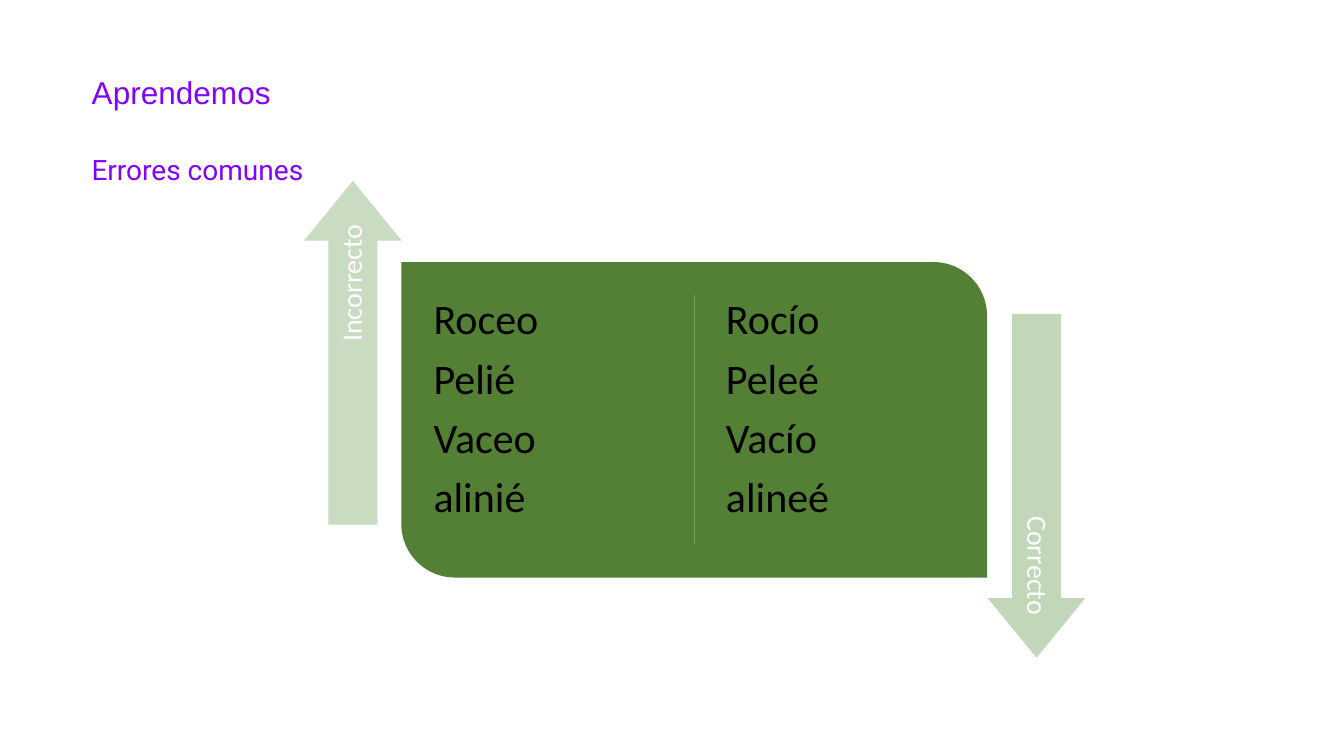
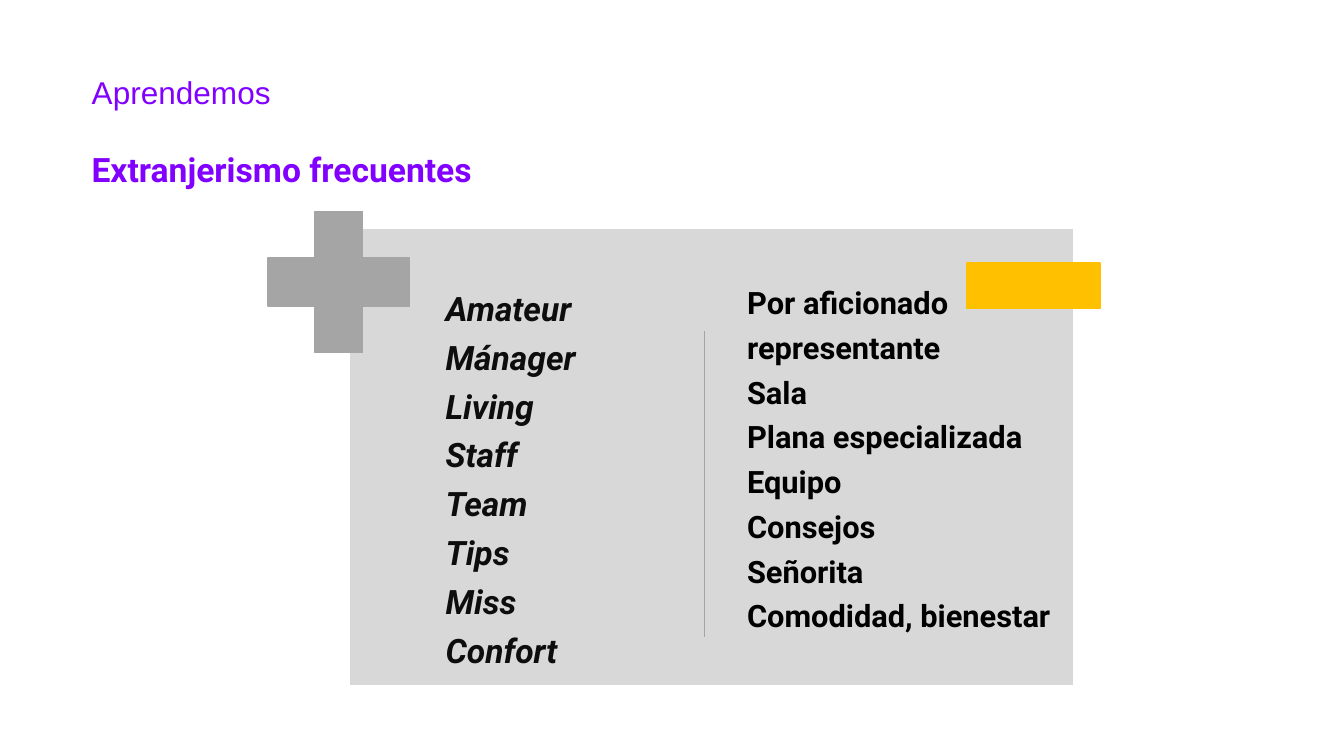
from dataclasses import dataclass

from pptx import Presentation
from pptx.dml.color import RGBColor
from pptx.enum.shapes import MSO_CONNECTOR, MSO_SHAPE
from pptx.enum.text import MSO_ANCHOR, MSO_AUTO_SIZE, PP_ALIGN
from pptx.oxml.ns import qn
from pptx.util import Inches, Pt
from lxml import etree

PURPLE, WHITE, BLACK = "8200FF", "FFFFFF", "000000"
GREEN, LIGHT_GREEN = "538035", "70AD47"
GRAY, PANEL_GRAY, AMBER = "A5A5A5", "D8D8D8", "FFC000"
LINE_SPACING = 0.9
ARROW_LENGTH, ARROW_WIDTH = 3.41, 0.97
LABEL_LENGTH, LABEL_HEIGHT = 3.12, 0.48


@dataclass(frozen=True)
class Style:
    font: str
    size: float
    color: str
    bold: bool = False
    italic: bool = False
    gap: float = 0  # points after each paragraph


@dataclass(frozen=True)
class Box:
    left: float
    top: float
    width: float
    height: float

    def lengths(self) -> list:
        return [Inches(v) for v in (self.left, self.top, self.width, self.height)]


@dataclass(frozen=True)
class WordList:
    box: Box
    inset: float
    style: Style
    words: tuple


@dataclass(frozen=True)
class Arrow:
    """An arrow given by its centre; its label sits towards the tail."""
    x: float
    y: float
    rotation: int
    label_y: float
    fill: str
    label: str


TITLE = Style("Arial", 22.5, PURPLE)
ARROW_LABEL = Style("Calibri", 20, WHITE)
COMMON_ERRORS = Style("Calibri", 30, BLACK, gap=10)

ERROR_LISTS = (
    WordList(Box(4.18, 2.84, 2.52, 2.65), 0.12, COMMON_ERRORS,
             ("Roceo", "Pelié", "Vaceo", "alinié")),
    WordList(Box(7.08, 2.84, 2.52, 2.65), 0.12, COMMON_ERRORS,
             ("Rocío", "Peleé", "Vacío", "alineé")),
)
ARROWS = (
    Arrow(3.5, 3.5, 270, 3.65, "C9DBC1", "Incorrecto"),
    Arrow(10.28, 4.82, 90, 4.68, "C2D7B9", "Correcto"),
)
LOANWORD_LISTS = (
    WordList(Box(4.37, 2.85, 2.7, 3.9), 0.05,
             Style("Roboto", 24, "0D0D0D", bold=True, italic=True, gap=9),
             ("Amateur", "Mánager", "Living", "Staff",
              "Team", "Tips", "Miss", "Confort")),
    WordList(Box(7.36, 2.81, 3.72, 4.01), 0.05,
             Style("Roboto", 22, BLACK, bold=True, gap=8.2),
             ("Por aficionado", "representante", "Sala", "Plana especializada",
              "Equipo", "Consejos", "Señorita", "Comodidad, bienestar")),
)


def rgb(color: str) -> RGBColor:
    return RGBColor.from_string(color)


def write(tf, lines, style: Style, align=PP_ALIGN.LEFT,
          anchor=MSO_ANCHOR.TOP) -> None:
    tf.word_wrap = True
    tf.auto_size = MSO_AUTO_SIZE.NONE
    tf.vertical_anchor = anchor
    for i, line in enumerate(lines):
        p = tf.add_paragraph() if i else tf.paragraphs[0]
        p.alignment = align
        p.line_spacing = LINE_SPACING
        p.space_before = Pt(0)
        p.space_after = Pt(style.gap)
        r = p.add_run()
        r.text = line
        r.font.name = style.font
        r.font.size = Pt(style.size)
        r.font.bold = style.bold
        r.font.italic = style.italic
        r.font.color.rgb = rgb(style.color)


def add_shape(s, kind, box: Box, fill: str, line: str = "", adjustments=()):
    sp = s.shapes.add_shape(kind, *box.lengths())
    sp.shadow.inherit = False
    sp.fill.solid()
    sp.fill.fore_color.rgb = rgb(fill)
    if line:
        sp.line.color.rgb = rgb(line)
        sp.line.width = Pt(1)
    else:
        sp.line.fill.background()
    for i, value in enumerate(adjustments):
        sp.adjustments[i] = value
    return sp


def add_divider(s, x: float, top: float, bottom: float, color: str) -> None:
    line = s.shapes.add_connector(MSO_CONNECTOR.STRAIGHT, Inches(x), Inches(top),
                                  Inches(x), Inches(bottom))
    line.line.color.rgb = rgb(color)
    line.line.width = Pt(1)
    etree.SubElement(line._element.spPr, qn("a:effectLst"))


def add_word_list(s, words: WordList) -> None:
    tf = s.shapes.add_textbox(*words.box.lengths()).text_frame
    tf.margin_left = tf.margin_right = Inches(words.inset)
    tf.margin_top = tf.margin_bottom = Inches(words.inset)
    write(tf, words.words, words.style)


def centred(x: float, y: float, width: float, height: float) -> Box:
    return Box(x - width / 2, y - height / 2, width, height)


def add_arrow(s, arrow: Arrow) -> None:
    sp = add_shape(s, MSO_SHAPE.RIGHT_ARROW,
                   centred(arrow.x, arrow.y, ARROW_LENGTH, ARROW_WIDTH),
                   arrow.fill, adjustments=(0.5, 0.61))
    sp.rotation = arrow.rotation
    label = s.shapes.add_textbox(
        *centred(arrow.x, arrow.label_y, LABEL_LENGTH, LABEL_HEIGHT).lengths())
    label.rotation = arrow.rotation
    tf = label.text_frame
    tf.margin_left = tf.margin_top = tf.margin_bottom = Inches(0.08)
    tf.margin_right = Inches(0.14)
    write(tf, [arrow.label], ARROW_LABEL, PP_ALIGN.RIGHT, MSO_ANCHOR.MIDDLE)


def add_slide(prs, subtitle: str, style: Style):
    """Add a slide with the shared title and its own subtitle."""
    s = prs.slides.add_slide(prs.slide_layouts.get_by_name("Title Only"))
    title = s.shapes.title
    title.left, title.top, title.width, title.height = Box(
        0.81, 0.73, 11.73, 0.42).lengths()
    write(title.text_frame, ["Aprendemos"], TITLE, anchor=MSO_ANCHOR.MIDDLE)
    sp = s.shapes.add_textbox(*Box(0.81, 1.41, 5.49, 0.59).lengths())
    write(sp.text_frame, [subtitle], style, anchor=MSO_ANCHOR.MIDDLE)
    return s


def build_errors(prs) -> None:
    s = add_slide(prs, "Errores comunes", Style("Roboto", 20, PURPLE))
    add_shape(s, MSO_SHAPE.ROUND_2_DIAG_RECTANGLE, Box(3.98, 2.6, 5.81, 3.13),
              GREEN, adjustments=(0, 0.17))
    add_divider(s, 6.89, 2.93, 5.4, LIGHT_GREEN)
    for words in ERROR_LISTS:
        add_word_list(s, words)
    for arrow in ARROWS:
        add_arrow(s, arrow)


def build_loanwords(prs) -> None:
    s = add_slide(prs, "Extranjerismo frecuentes",
                  Style("Roboto", 24, PURPLE, bold=True))
    add_shape(s, MSO_SHAPE.RECTANGLE, Box(3.46, 2.27, 7.19, 4.53),
              PANEL_GRAY, WHITE)
    for words in LOANWORD_LISTS:
        add_word_list(s, words)
    add_shape(s, MSO_SHAPE.CROSS, Box(2.66, 2.1, 1.4, 1.4), GRAY, GRAY, (0.33,))
    add_shape(s, MSO_SHAPE.RECTANGLE, Box(9.59, 2.61, 1.32, 0.45), AMBER, AMBER)
    add_divider(s, 6.99, 3.28, 6.32, GRAY)


def main() -> None:
    prs = Presentation()
    prs.slide_width, prs.slide_height = Inches(13.33), Inches(7.5)
    build_errors(prs)
    build_loanwords(prs)
    prs.save("out.pptx")


if __name__ == "__main__":
    main()
